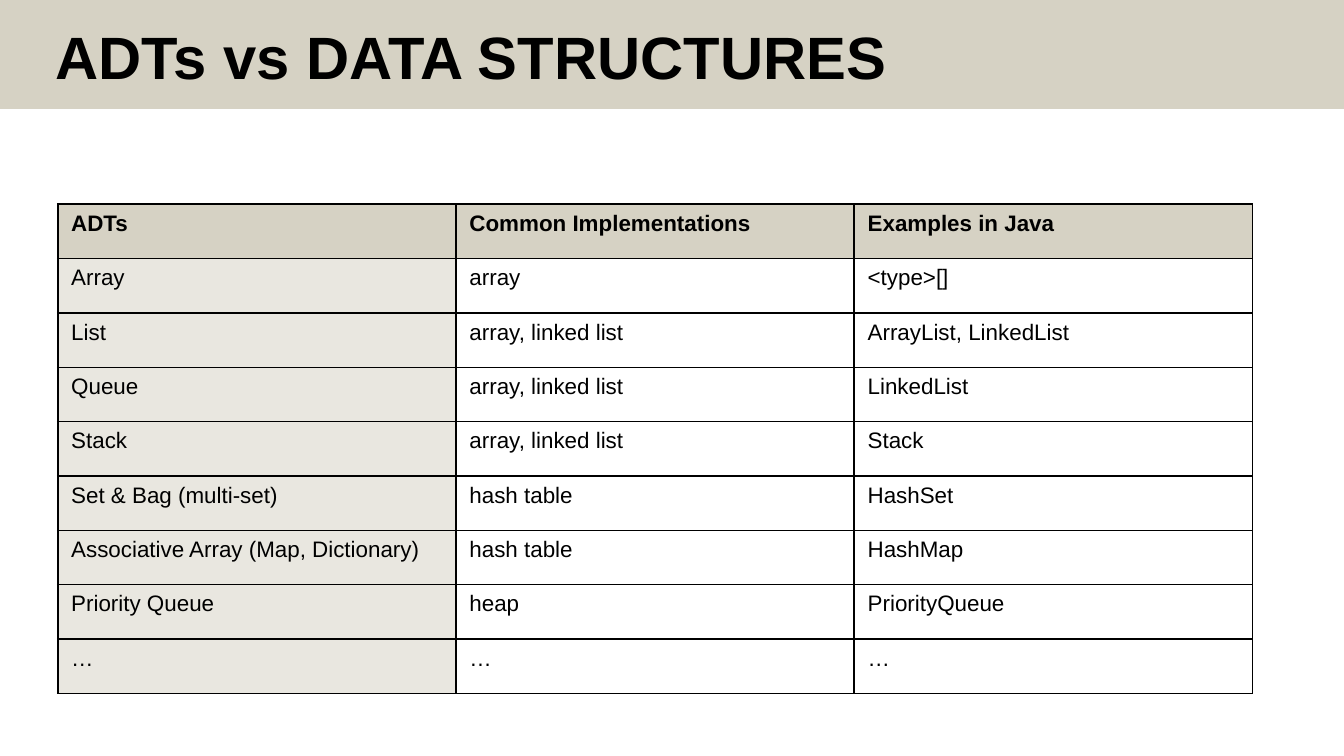
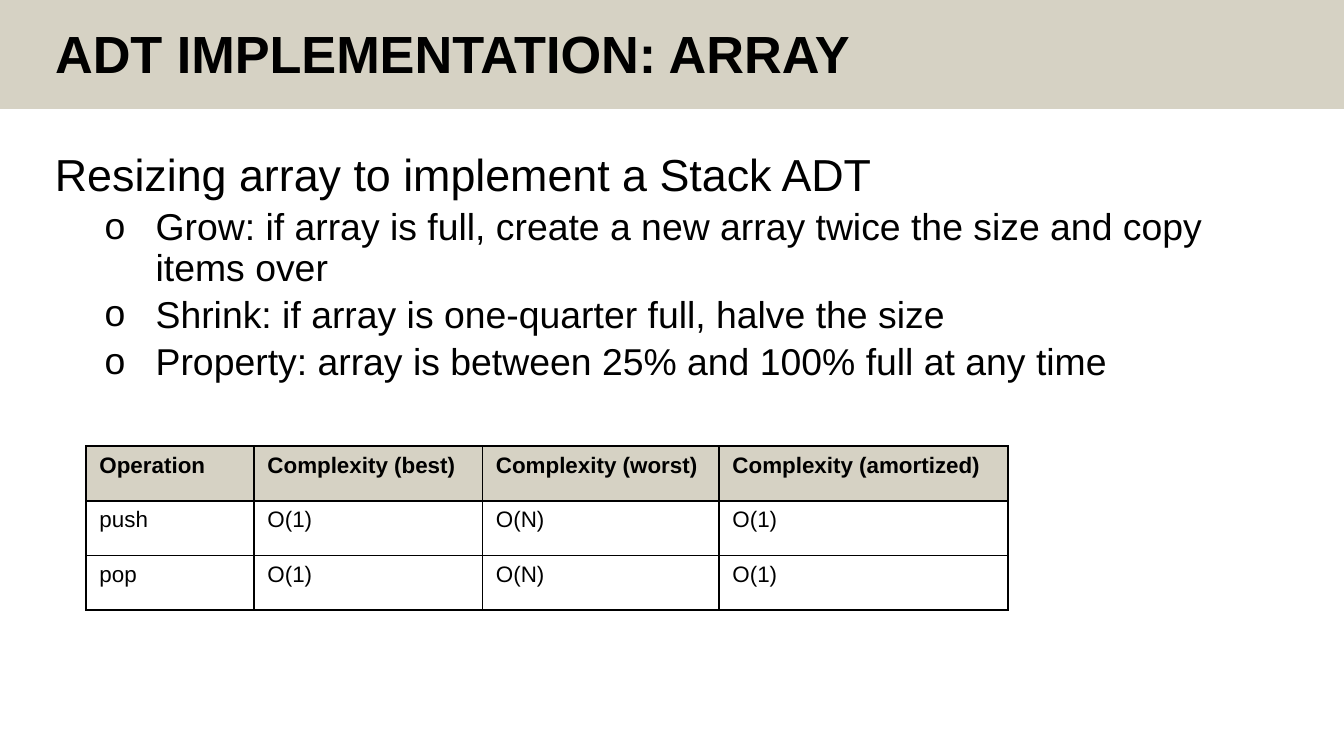
from lxml import etree
from pptx import Presentation
from pptx.dml.color import RGBColor
from pptx.enum.shapes import MSO_SHAPE
from pptx.enum.text import MSO_ANCHOR, MSO_AUTO_SIZE, PP_ALIGN
from pptx.oxml.ns import qn
from pptx.util import Inches, Pt

RECTANGLE = MSO_SHAPE.RECTANGLE
TOP = MSO_ANCHOR.TOP
NO_AUTOFIT = MSO_AUTO_SIZE.NONE
LEFT = PP_ALIGN.LEFT

STONE = RGBColor(0xD6, 0xD2, 0xC4)
BLACK = RGBColor(0x00, 0x00, 0x00)
FONT = "Arial"
TITLE_ONLY = 5
SLIDE_WIDTH = 10
SLIDE_HEIGHT = SLIDE_WIDTH * 9 / 16
BAND_HEIGHT = 0.81
TEXT_LEFT = 0.31
LINE_SPACING = 0.9
FIRST_COLUMN_ALPHA = 52

ADT_ROWS = [
    ("ADTs", "Common Implementations", "Examples in Java"),
    ("Array", "array", "<type>[]"),
    ("List", "array, linked list", "ArrayList, LinkedList"),
    ("Queue", "array, linked list", "LinkedList"),
    ("Stack", "array, linked list", "Stack"),
    ("Set & Bag (multi-set)", "hash table", "HashSet"),
    ("Associative Array (Map, Dictionary)", "hash table", "HashMap"),
    ("Priority Queue", "heap", "PriorityQueue"),
    ("…", "…", "…"),
]
COMPLEXITY_ROWS = [
    ("Operation", "Complexity (best)", "Complexity (worst)", "Complexity (amortized)"),
    ("push", "O(1)", "O(N)", "O(1)"),
    ("pop", "O(1)", "O(N)", "O(1)"),
]
RESIZING_RULES = [
    "Grow: if array is full, create a new array twice the size and copy items over",
    "Shrink: if array is one-quarter full, halve the size",
    "Property: array is between 25% and 100% full at any time",
]


def place(shape, left, top, width, height):
    shape.left, shape.top = Inches(left), Inches(top)
    shape.width, shape.height = Inches(width), Inches(height)


def add_run(paragraph, text, size, bold=False):
    run = paragraph.add_run()
    run.text = text
    run.font.name = FONT
    run.font.size = Pt(size)
    run.font.bold = bold
    run.font.color.rgb = BLACK


def set_up_frame(frame):
    frame.word_wrap = True
    frame.auto_size = NO_AUTOFIT
    frame.vertical_anchor = TOP


def add_titled_slide(prs, heading, size):
    slide = prs.slides.add_slide(prs.slide_layouts[TITLE_ONLY])
    title = slide.shapes.title
    place(title, TEXT_LEFT, 0.16, 7.7, 0.53)
    set_up_frame(title.text_frame)
    paragraph = title.text_frame.paragraphs[0]
    paragraph.alignment = LEFT
    paragraph.line_spacing = LINE_SPACING
    add_run(paragraph, heading, size, bold=True)

    band = slide.shapes.add_shape(
        RECTANGLE, 0, 0, Inches(SLIDE_WIDTH), Inches(BAND_HEIGHT))
    band.shadow.inherit = False
    band.fill.solid()
    band.fill.fore_color.rgb = STONE
    band.line.fill.background()
    title.element.addprevious(band.element)
    return slide


def add_bullet(paragraph):
    properties = paragraph._p.get_or_add_pPr()
    properties.set("lvl", "1")
    properties.set("marL", str(Inches(0.75)))
    properties.set("indent", str(Inches(-0.38)))
    etree.SubElement(properties, qn("a:buFont"), typeface=FONT)
    etree.SubElement(properties, qn("a:buChar"), char="o")


def add_bulleted_text(slide, lead, points):
    body = slide.shapes.add_textbox(
        Inches(TEXT_LEFT), Inches(1.09), Inches(9.14), Inches(4.1))
    frame = body.text_frame
    set_up_frame(frame)
    opening = frame.paragraphs[0]
    opening.line_spacing = LINE_SPACING
    add_run(opening, lead, 24)
    for point in points:
        paragraph = frame.add_paragraph()
        add_bullet(paragraph)
        paragraph.line_spacing = LINE_SPACING
        paragraph.space_before = Pt(3.8)
        add_run(paragraph, point, 20)


def outline_cell(cell):
    properties = cell._tc.get_or_add_tcPr()
    for side in ("lnL", "lnR", "lnT", "lnB"):
        border = etree.SubElement(properties, qn(f"a:{side}"), w=str(Pt(1)))
        fill = etree.SubElement(border, qn("a:solidFill"))
        etree.SubElement(fill, qn("a:srgbClr"), val=str(BLACK))


def fill_cell(cell, alpha=100):
    cell.fill.solid()
    cell.fill.fore_color.rgb = STONE
    if alpha < 100:
        color = cell._tc.tcPr.find(f"{qn('a:solidFill')}/{qn('a:srgbClr')}")
        etree.SubElement(color, qn("a:alpha"), val=str(alpha * 1000))


def add_grid(slide, rows, left, top, column_widths, height, tint_first_column=False):
    table = slide.shapes.add_table(
        len(rows), len(column_widths), Inches(left), Inches(top),
        Inches(sum(column_widths)), Inches(height)).table
    table.first_row = False
    table.horz_banding = False
    for column, width in zip(table.columns, column_widths):
        column.width = Inches(width)
    for row_index, row in enumerate(rows):
        table.rows[row_index].height = Inches(height / len(rows))
        is_header = row_index == 0
        for column_index, text in enumerate(row):
            cell = table.cell(row_index, column_index)
            outline_cell(cell)
            if is_header:
                fill_cell(cell)
            elif tint_first_column and column_index == 0:
                fill_cell(cell, FIRST_COLUMN_ALPHA)
            else:
                cell.fill.background()
            add_run(cell.text_frame.paragraphs[0], text, 12, bold=is_header)


def main():
    prs = Presentation()
    prs.slide_width = Inches(SLIDE_WIDTH)
    prs.slide_height = Inches(SLIDE_HEIGHT)

    comparison = add_titled_slide(prs, "ADTs vs DATA STRUCTURES", 32)
    add_grid(comparison, ADT_ROWS, 0.43, 1.52, [8.89 / 3] * 3, 3.64,
             tint_first_column=True)

    resizing = add_titled_slide(prs, "ADT IMPLEMENTATION: ARRAY", 28)
    add_bulleted_text(resizing, "Resizing array to implement a Stack ADT",
                      RESIZING_RULES)
    add_grid(resizing, COMPLEXITY_ROWS, 0.64, 3.32, [1.25, 1.7, 1.76, 2.15], 1.22)

    prs.save("out.pptx")


if __name__ == "__main__":
    main()
